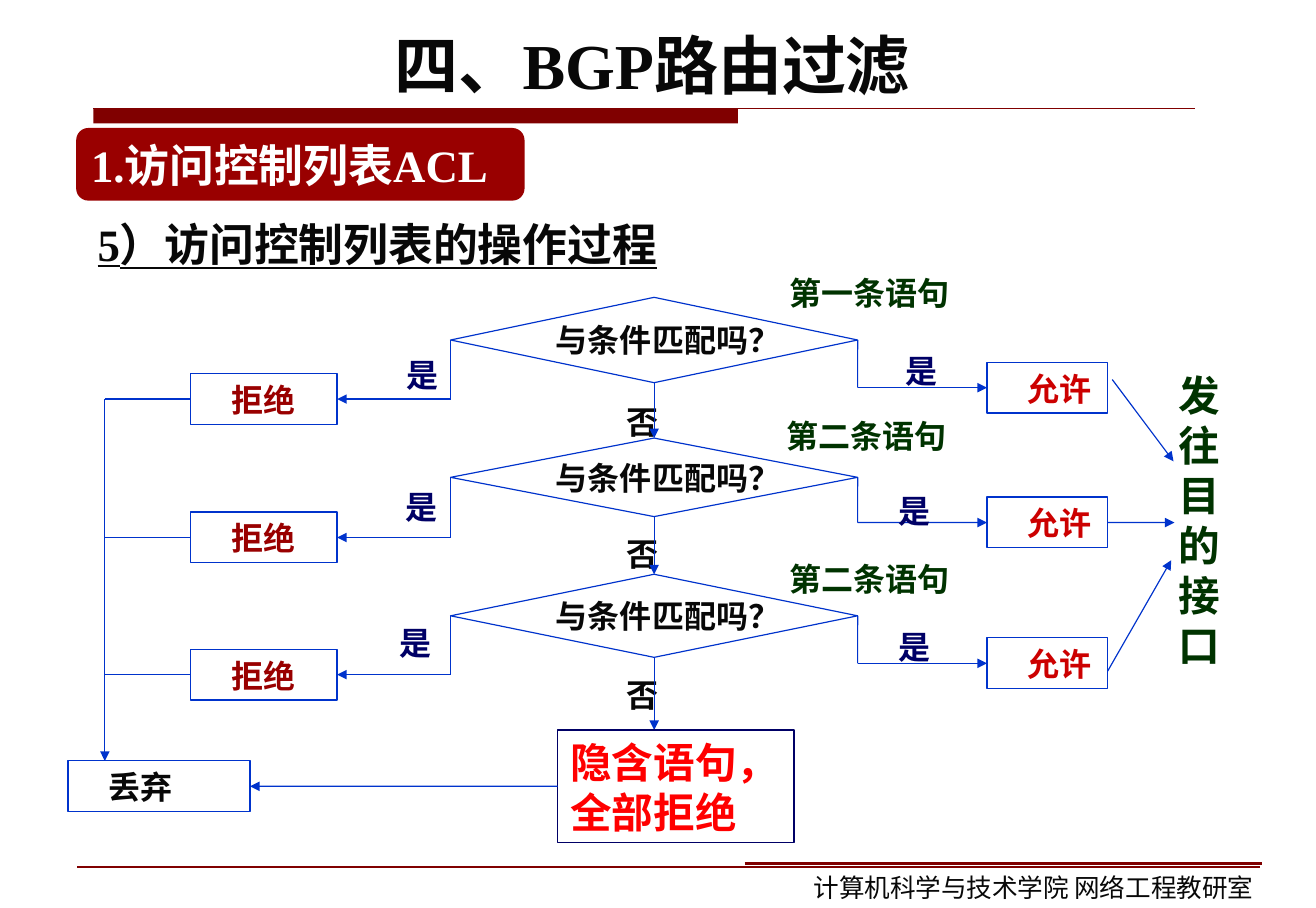
from pptx import Presentation
from pptx.dml.color import RGBColor
from pptx.enum.shapes import MSO_CONNECTOR as Link, MSO_SHAPE as Kind
from pptx.enum.text import MSO_ANCHOR as Anchor, MSO_AUTO_SIZE as Auto, PP_ALIGN as Align
from pptx.oxml.ns import qn
from pptx.util import Cm, Pt
from lxml.etree import SubElement

INK = RGBColor(0x08, 0x08, 0x08)
WHITE = RGBColor(0xFF, 0xFF, 0xFF)
BLUE = RGBColor(0x00, 0x33, 0xCC)
NAVY = RGBColor(0x00, 0x00, 0x66)
GREEN = RGBColor(0x00, 0x33, 0x00)
MAROON = RGBColor(0x80, 0x00, 0x00)
CRIMSON = RGBColor(0x99, 0x00, 0x00)
ROSE = RGBColor(0xCC, 0x00, 0x00)
RED = RGBColor(0xFF, 0x00, 0x00)
ROMAN, HAN = "Times New Roman", "Noto Sans CJK SC"

TITLE = "四、BGP路由过滤"
HEAD = "1.访问控制列表ACL"
TOPIC = "5）访问控制列表的操作过程"
ASK, DENY, ALLOW, YES, NO = "与条件匹配吗？", "拒绝", "允许", "是", "否"
REST, DROP, GOAL = "隐含语句，全部拒绝", "丢弃", "发往目的接口"
FOOT = "计算机科学与技术学院 网络工程教研室"

ROWS = [
    dict(name="第一条语句", ask=(6.55, 1.88), deny=8.23, allow=7.98,
         tag=(16.5, 5.87), left=(8.05, 7.67), right=(19.05, 7.59), no=8.71),
    dict(name="第二条语句", ask=(9.65, 1.73), deny=11.28, allow=10.95,
         tag=(16.43, 9.02), left=(8.03, 10.59), right=(18.9, 10.67), no=11.63),
    dict(name="第二条语句", ask=(12.65, 1.83), deny=14.3, allow=14.05,
         tag=(16.5, 12.17), left=(7.9, 13.59), right=(18.9, 13.67), no=14.73),
]
ASK_X, ASK_W = 9.93, 8.97
DENY_X, DENY_W = 4.2, 3.23
ALLOW_X, ALLOW_W = 21.75, 2.66
BOX_H, BUS_X, NOTE_Y = 1.12, 2.31, 16.08
TOP, LEFT, BOTTOM, RIGHT = range(4)


def put(text, x, y, w, h, kind=None, shape=None, fill=None, line=None, size=20,
        color=INK, font=ROMAN, bold=True, under=False, align=Align.LEFT,
        anchor=Anchor.TOP, wrap=True, pad=(0.28, 0.15), indent=0.62, space=None):
    """Place text in a given shape, a new preset shape or a text box."""
    spot = [Cm(v) for v in (x, y, w, h)]
    if shape:
        shape.left, shape.top, shape.width, shape.height = spot
    elif kind:
        shape = slide.shapes.add_shape(kind, *spot)
        shape.shadow.inherit = False
        paint(shape, fill, line)
    else:
        shape = slide.shapes.add_textbox(*spot)
    frame = shape.text_frame
    frame.auto_size, frame.word_wrap, frame.vertical_anchor = Auto.NONE, wrap, anchor
    frame.margin_left = frame.margin_right = Cm(pad[0])
    frame.margin_top = frame.margin_bottom = Cm(pad[1])
    para = frame.paragraphs[0]
    para.alignment, para.line_spacing = align, space
    if indent:
        para._p.get_or_add_pPr().set("marL", str(Cm(indent)))
    run = para.add_run()
    run.text = text
    face = run.font
    face.name, face.size, face.bold, face.underline = font, Pt(size), bold, under
    face.color.rgb = color
    SubElement(run._r.get_or_add_rPr(), qn("a:ea")).set("typeface", HAN)
    return shape


def paint(shape, fill=None, line=None):
    """Set the fill and outline of a shape."""
    if fill is None:
        shape.fill.background()
    else:
        shape.fill.solid()
        shape.fill.fore_color.rgb = fill
    if line is None:
        shape.line.fill.background()
    else:
        shape.line.color.rgb = line
        shape.line.width = Pt(0.75)


def place(end):
    """Return the point of an end: a pair in cm, or a shape and its side."""
    if isinstance(end[0], (int, float)):
        return Cm(end[0]), Cm(end[1])
    box, side = end
    across = {LEFT: 0, RIGHT: box.width}.get(side, box.width // 2)
    down = {TOP: 0, BOTTOM: box.height}.get(side, box.height // 2)
    return box.left + across, box.top + down


def join(start, end, arrow=True, color=BLUE, width=0.75):
    """Draw a straight connector and glue the ends that name a shape."""
    wire = slide.shapes.add_connector(Link.STRAIGHT, *place(start), *place(end))
    for spot, glue in ((start, wire.begin_connect), (end, wire.end_connect)):
        if not isinstance(spot[0], (int, float)):
            glue(*spot)
    wire.line.color.rgb = color
    wire.line.width = Pt(width)
    if arrow:
        SubElement(wire.line._get_or_add_ln(), qn("a:tailEnd")).set("type", "triangle")
    SubElement(wire._element.spPr, qn("a:effectLst"))


deck = Presentation()
deck.slide_width, deck.slide_height = Cm(29), Cm(20)
slide = deck.slides.add_slide(deck.slide_layouts[5])

bar = slide.shapes.add_shape(Kind.RECTANGLE, Cm(2.06), Cm(2.39), Cm(14.2), Cm(0.33))
bar.shadow.inherit = False
paint(bar, MAROON)
join((2.06, 2.39), (26.34, 2.39), arrow=False, color=MAROON)
put(TITLE, 1.55, 0, 25.65, 2.82, shape=slide.shapes.title, size=40,
    align=Align.CENTER, anchor=Anchor.MIDDLE, indent=0)
put(HEAD, 1.68, 2.82, 9.88, 1.6, kind=Kind.ROUNDED_RECTANGLE, fill=CRIMSON, size=28,
    color=WHITE, anchor=Anchor.MIDDLE, wrap=False, pad=(0.25, 0.13), indent=0)
put(TOPIC, 1.9, 4.52, 26, 1.57, size=28, under=True, pad=(0.25, 0.13),
    indent=0, space=1.1)

asks, allows = [], []
for row in ROWS:
    top, high = row["ask"]
    ask = put(ASK, ASK_X, top, ASK_W, high, kind=Kind.DIAMOND, line=BLUE,
              align=Align.CENTER, anchor=Anchor.MIDDLE, wrap=False)
    deny = put(DENY, DENY_X, row["deny"], DENY_W, BOX_H, kind=Kind.RECTANGLE,
               line=BLUE, color=CRIMSON)
    allow = put(ALLOW, ALLOW_X, row["allow"], ALLOW_W, BOX_H, kind=Kind.RECTANGLE,
                line=BLUE, color=ROSE)
    for side, x, box, key in ((LEFT, ASK_X, deny, "deny"),
                              (RIGHT, ASK_X + ASK_W, allow, "allow")):
        bend = (x, row[key] + BOX_H / 2)
        join((ask, side), bend, arrow=False)
        join(bend, (box, LEFT + RIGHT - side))
    join((BUS_X, row["deny"] + BOX_H / 2), (deny, LEFT), arrow=False)
    put(row["name"], *row["tag"], 5.11, BOX_H, color=GREEN, font=HAN)
    put(YES, *row["left"], 2.03, BOX_H, color=NAVY)
    put(YES, *row["right"], 2.03, BOX_H, color=NAVY)
    put(NO, 12.9, row["no"], 2.03, BOX_H)
    asks.append(ask)
    allows.append(allow)

for upper, lower in zip(asks, asks[1:]):
    join((upper, BOTTOM), (lower, TOP))
join((asks[-1], BOTTOM), (ASK_X + ASK_W / 2, NOTE_Y))

rest = put(REST, 12.29, NOTE_Y, 5.21, 2.48, kind=Kind.RECTANGLE, line=NAVY, size=26,
           color=RED, indent=0)
drop = put(DROP, 1.5, 16.76, 4.01, BOX_H, kind=Kind.RECTANGLE, line=BLUE)
join((rest, LEFT), (drop, RIGHT))
join((BUS_X, ROWS[0]["deny"] + BOX_H / 2), (BUS_X, 16.76))

put(GOAL, 25.7, 8, 1.85, 6.88, size=26, color=GREEN, indent=0)
join((24.51, 8.36), (25.86, 10.16))
join((allows[1], RIGHT), (25.88, 11.51))
join((24.41, 14.78), (25.81, 12.34))

join((1.7, 19.1), (27.76, 19.1), arrow=False, color=MAROON, width=1.5)
join((16.41, 19.02), (27.81, 19.02), arrow=False, color=MAROON, width=2.25)
put(FOOT, 17.68, 19.07, 10.67, 0.93, size=16, font="Arial", bold=False,
    pad=(0.25, 0.13), indent=0)

deck.save("out.pptx")
